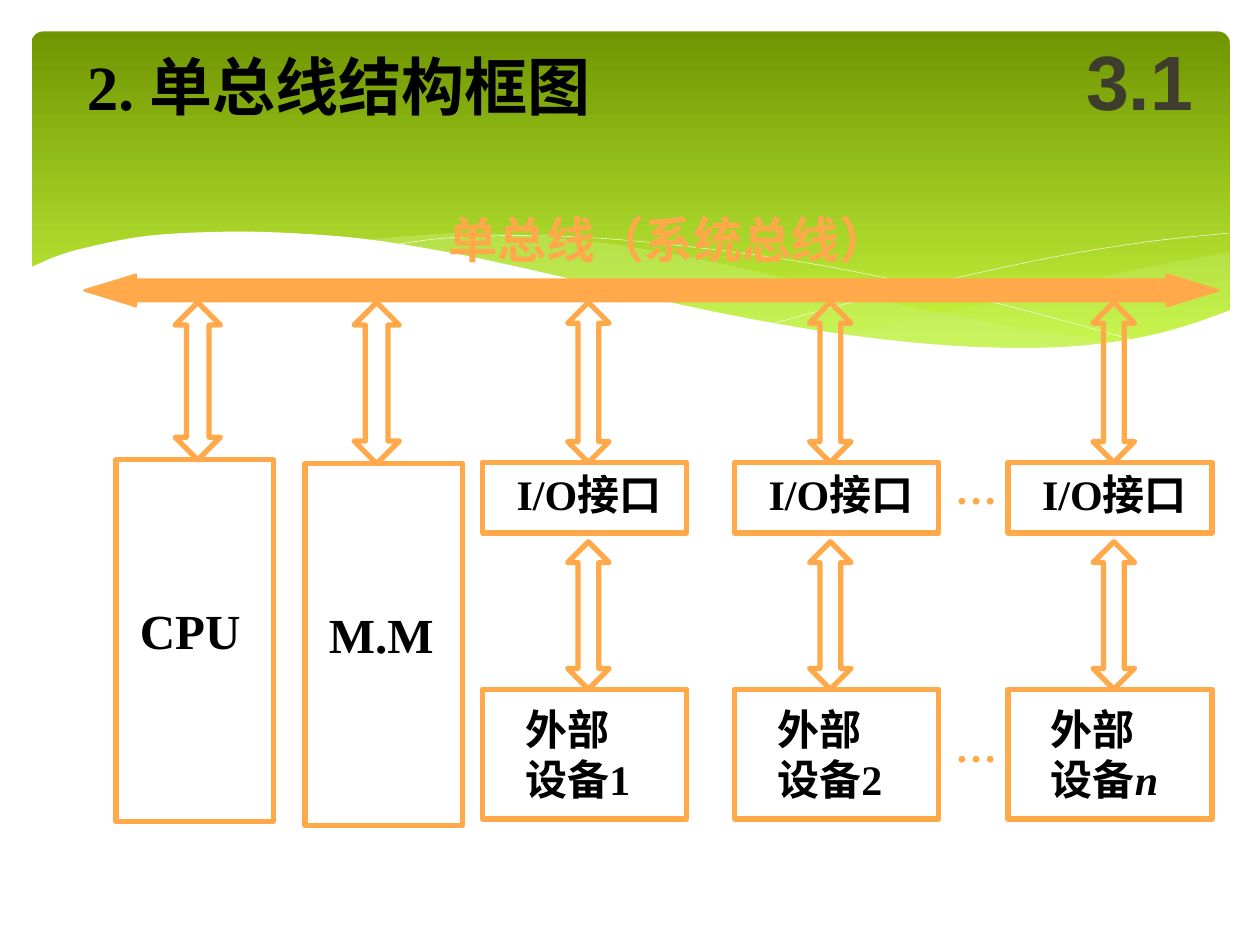
"""Build the slide showing a single-bus computer structure."""
from lxml.etree import SubElement
from pptx import Presentation
from pptx.dml.color import RGBColor
from pptx.enum.shapes import MSO_SHAPE
from pptx.enum.text import MSO_ANCHOR, PP_ALIGN
from pptx.oxml.ns import qn
from pptx.util import Inches, Pt

ORANGE = RGBColor(0xFF, 0xA9, 0x4A)
BLACK = RGBColor(0, 0, 0)
WHITE = RGBColor(0xFF, 0xFF, 0xFF)
DARK_GREEN = RGBColor(0x6F, 0x95, 0x00)
LIME = RGBColor(0xD0, 0xFF, 0x44)
PALE_LIME = RGBColor(0xCA, 0xF2, 0x78)
GREY = RGBColor(0x3E, 0x3D, 0x2D)

STEPS_PER_SPAN = 6
INSETS = (0.1, 0.05, 0.1, 0.05)
NO_INSETS = (0, 0, 0, 0)

presentation = Presentation()
presentation.slide_width = Inches(10)
presentation.slide_height = Inches(7.5)
slide = presentation.slides.add_slide(presentation.slide_layouts[6])


def add_text(text, left, top, width, height, size=24, font="Times New Roman",
             color=BLACK, outline=None, insets=INSETS, wrap=True,
             align=PP_ALIGN.LEFT, anchor=MSO_ANCHOR.TOP, italic_suffix=""):
    bounds = [Inches(value) for value in (left, top, width, height)]
    if outline:
        shape = slide.shapes.add_shape(MSO_SHAPE.RECTANGLE, *bounds)
        shape.shadow.inherit = False
        shape.fill.background()
        shape.line.color.rgb = outline
        shape.line.width = Pt(3)
    else:
        shape = slide.shapes.add_textbox(*bounds)
    frame = shape.text_frame
    frame.word_wrap = wrap
    frame.vertical_anchor = anchor
    (frame.margin_left, frame.margin_top,
     frame.margin_right, frame.margin_bottom) = [Inches(inset) for inset in insets]
    frame.text = text
    if italic_suffix:
        suffix = frame.paragraphs[-1].add_run()
        suffix.text = italic_suffix
        suffix.font.italic = True
    for paragraph in frame.paragraphs:
        paragraph.alignment = align
        for run in paragraph.runs:
            run.font.size = Pt(size)
            run.font.name = font
            run.font.bold = True
            run.font.color.rgb = color


def add_wave(*curves, fill=None, opacity=100):
    outline = []
    for curve in curves:
        neighbours = [curve[0], *curve, curve[-1]]
        for before, start, end, after in zip(neighbours, curve, curve[1:], neighbours[3:]):
            for step in range(STEPS_PER_SPAN):
                t = step / STEPS_PER_SPAN
                end_weight = t * t * (3 - 2 * t)
                leaving_weight = t * (1 - t) ** 2 / 2
                arriving_weight = t * t * (t - 1) / 2
                outline.append([
                    Inches(start[axis] + end_weight * (end[axis] - start[axis])
                           + leaving_weight * (end[axis] - before[axis])
                           + arriving_weight * (after[axis] - start[axis]))
                    for axis in (0, 1)])
        outline.append([Inches(value) for value in curve[-1]])
    builder = slide.shapes.build_freeform(*outline[0], scale=1.0)
    builder.add_line_segments(outline[1:], close=fill is not None)
    shape = builder.convert_to_shape()
    shape.shadow.inherit = False
    if fill is None:
        shape.fill.background()
        shape.line.color.rgb = WHITE
        shape.line.width = Pt(0.25)
    else:
        shape.line.fill.background()
        shape.fill.solid()
        shape.fill.fore_color.rgb = fill
        fill_color = shape.fill._xPr.find(qn("a:solidFill"))[0]
        SubElement(fill_color, qn("a:alpha")).set("val", str(opacity * 1000))


banner = slide.shapes.add_shape(MSO_SHAPE.ROUNDED_RECTANGLE, Inches(0.25), Inches(0.25),
                                Inches(9.51), Inches(2.7))
banner.adjustments[0] = 0.034
banner.shadow.inherit = False
banner.line.fill.background()
banner.fill.gradient()
banner.fill.gradient_angle = 270
for stop, color in zip(banner.fill.gradient_stops, (DARK_GREEN, LIME)):
    stop.color.rgb = color

right_band_top = [(9.76, 2), (9.21, 2.1), (8.61, 2.23), (7.79, 2.42), (7.06, 2.57),
                  (6.61, 2.65)]
right_band_bottom = [(6.61, 2.65), (7.18, 2.73), (7.69, 2.77), (8.24, 2.77),
                     (8.81, 2.73), (9.28, 2.63), (9.76, 2.47)]
middle_band_top = [(8.93, 2.73), (8.07, 2.6), (7.06, 2.4), (6.29, 2.22), (5.41, 2.03),
                   (4.64, 1.91), (3.8, 1.85), (3.28, 1.87), (2.86, 1.91)]
middle_band_bottom = [(2.86, 1.91), (3.62, 2.03), (4.49, 2.22), (5.3, 2.4), (6.18, 2.58),
                      (6.95, 2.7), (7.61, 2.77), (8.18, 2.79), (8.57, 2.77), (8.93, 2.73)]
falling_line = [(3.09, 1.95), (3.53, 1.89), (4.16, 1.87), (4.89, 1.9), (5.82, 2),
                (6.65, 2.13), (7.6, 2.33), (8.31, 2.51), (9.07, 2.72)]
rising_line = [(6.13, 2.57), (6.72, 2.41), (7.48, 2.23), (8.36, 2.04), (9.1, 1.92),
               (9.75, 1.85)]
page_edge = [(9.77, 2.46), (9.4, 2.59), (8.99, 2.69), (8.5, 2.75), (7.93, 2.76),
             (7.26, 2.72), (6.47, 2.62), (5.55, 2.45), (4.47, 2.2), (3.65, 2.02),
             (2.92, 1.9), (2.3, 1.85), (1.76, 1.84), (1.19, 1.87), (0.75, 1.95),
             (0.46, 2.03), (0.23, 2.13)]
page_base = [(0.23, 3.29), (9.77, 3.29)]

add_wave(right_band_top, right_band_bottom, fill=PALE_LIME, opacity=29)
add_wave(middle_band_top, middle_band_bottom, fill=PALE_LIME, opacity=40)
add_wave(falling_line)
add_wave(rising_line)
add_wave(page_edge, page_base, fill=WHITE)

add_text("2. 单总线结构框图", 0.59, 0.33, 4.32, 0.7, size=36, wrap=False)
add_text("3.1", 8.42, 0.17, 1.25, 0.92, size=44, font="Arial", color=GREY,
         align=PP_ALIGN.CENTER, anchor=MSO_ANCHOR.MIDDLE)
add_text("单总线（系统总线）", 3.56, 1.66, 3.5, 0.47, size=28, font="Noto Sans CJK SC",
         color=ORANGE, insets=NO_INSETS, wrap=False)

bus = slide.shapes.add_shape(MSO_SHAPE.LEFT_RIGHT_ARROW, Inches(0.67), Inches(2.18),
                             Inches(9), Inches(0.25))
bus.adjustments[0] = 0.68
bus.adjustments[1] = 1.64
bus.shadow.inherit = False
bus.fill.solid()
bus.fill.fore_color.rgb = ORANGE
bus.line.color.rgb = ORANGE
bus.line.width = Pt(1.39)

bus_bottom = 2.4
interface_top, interface_height = 3.67, 0.56
device_top, device_height = 5.47, 1.03
device_arrow_top = 4.3
column_width = 1.62
arrows = []

for label, left, top, arrow_center in (("CPU", 0.92, 3.65, 1.57), ("M.M", 2.42, 3.68, 2.99)):
    add_text(label, left, top, 1.25, 2.87, size=28, outline=ORANGE,
             insets=(0.19, 1.12, 0.1, 0.05))
    arrows.append((arrow_center, bus_bottom, top, 0.36))

for number, left, arrow_center in (("1", 3.83, 4.67), ("2", 5.83, 6.59), ("n", 8, 8.84)):
    add_text("I/O接口", left, interface_top, column_width, interface_height,
             outline=ORANGE, insets=(0.27, 0.05, 0.1, 0.05))
    is_variable = number == "n"
    add_text("外部\n设备" + ("" if is_variable else number), left, device_top,
             column_width, device_height, outline=ORANGE, insets=(0.34, 0.11, 0.1, 0.05),
             italic_suffix=number if is_variable else "")
    arrows.append((arrow_center, bus_bottom, interface_top, 0.33))
    arrows.append((arrow_center, device_arrow_top, device_top, 0.33))

for top in (interface_top, 5.72):
    add_text("…", 7.58, top, 0.42, 0.4, color=ORANGE, insets=NO_INSETS)

head_length = 0.25
shaft_share = 0.5
for center, top, bottom, width in arrows:
    arrow = slide.shapes.add_shape(MSO_SHAPE.UP_DOWN_ARROW, Inches(center - width / 2),
                                   Inches(top), Inches(width), Inches(bottom - top))
    arrow.adjustments[0] = head_length / width
    arrow.adjustments[1] = shaft_share
    arrow.shadow.inherit = False
    arrow.fill.background()
    arrow.line.color.rgb = ORANGE
    arrow.line.width = Pt(3)

presentation.save("out.pptx")
